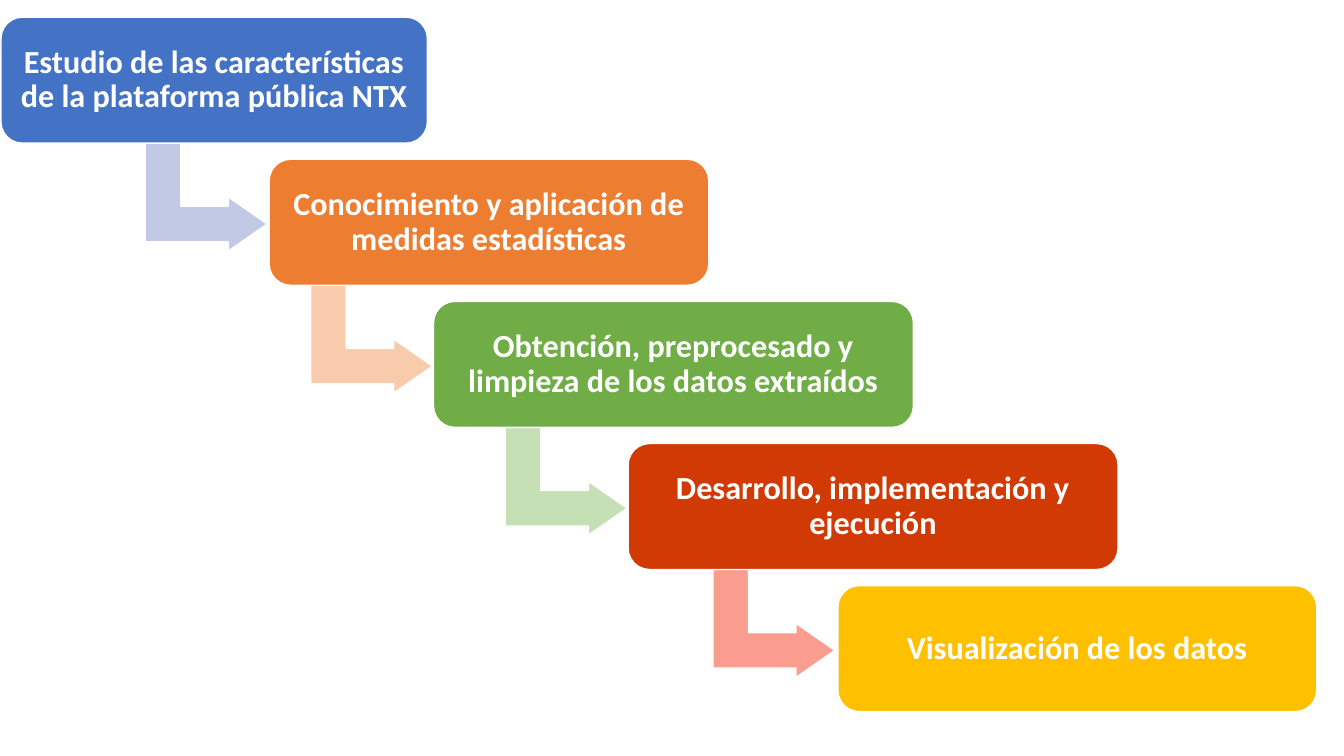
"""Build a slide with a descending staircase of five project phases."""
from pptx import Presentation
from pptx.dml.color import RGBColor
from pptx.enum.shapes import MSO_SHAPE
from pptx.enum.text import MSO_ANCHOR, PP_ALIGN
from pptx.util import Inches, Pt

ROUNDED_BOX = MSO_SHAPE.ROUNDED_RECTANGLE
BENT_ARROW = MSO_SHAPE.BENT_UP_ARROW
MIDDLE = MSO_ANCHOR.MIDDLE
CENTER = PP_ALIGN.CENTER

THEME = {
    "font": "Calibri",
    "size": 23,
    "white": "FFFFFF",
    "boxes": ["4472C4", "ED7D31", "70AD47", "D13A05", "FFC000"],
    "arrows": ["C1C9E4", "F8CBAD", "C5E0B4", "FA9D8E"],
}
PHASES = [
    ("Estudio de las características de la plataforma pública NTX", 0.01, 4.23),
    ("Conocimiento y aplicación de medidas estadísticas", 2.67, 4.36),
    ("Obtención, preprocesado y limpieza de los datos extraídos", 4.3, 4.76),
    ("Desarrollo, implementación y ejecución", 6.23, 4.86),
    ("Visualización de los datos", 8.31, 4.75),
]
ARROW_LEFTS = [1.51, 3.15, 5.08, 7.14]
FIRST_BOX_TOP = 0.17
FIRST_ARROW_TOP = 1.35
STEP = 1.41
BOX_HEIGHT = 1.25
ARROW_WIDTH, ARROW_HEIGHT = 1.07, 1.21


def add_filled_shape(kind, left, top, width, height, color, adjustments):
    shape = slide.shapes.add_shape(
        kind, Inches(left), Inches(top), Inches(width), Inches(height)
    )
    for index, value in enumerate(adjustments):
        shape.adjustments[index] = value
    shape.shadow.inherit = False
    shape.fill.solid()
    shape.fill.fore_color.rgb = RGBColor.from_string(color)
    shape.line.color.rgb = RGBColor.from_string(THEME["white"])
    shape.line.width = Pt(1)
    return shape


presentation = Presentation()
presentation.slide_width = Inches(13.33)
presentation.slide_height = Inches(7.5)
slide = presentation.slides.add_slide(presentation.slide_layouts[6])

for step, (label, left, width) in enumerate(PHASES):
    if step < len(ARROW_LEFTS):
        arrow = add_filled_shape(
            BENT_ARROW, ARROW_LEFTS[step], FIRST_ARROW_TOP + step * STEP,
            ARROW_WIDTH, ARROW_HEIGHT, THEME["arrows"][step], [0.33, 0.25, 0.36],
        )
        arrow.rotation = 90

    box = add_filled_shape(
        ROUNDED_BOX, left, FIRST_BOX_TOP + step * STEP,
        width, BOX_HEIGHT, THEME["boxes"][step], [0.17],
    )
    text_frame = box.text_frame
    text_frame.text = label
    text_frame.word_wrap = True
    text_frame.vertical_anchor = MIDDLE
    text_frame.margin_left = text_frame.margin_right = Inches(0.1)
    text_frame.margin_top = text_frame.margin_bottom = Inches(0.1)
    paragraph = text_frame.paragraphs[0]
    paragraph.alignment = CENTER
    paragraph.line_spacing = 0.9
    font = paragraph.runs[0].font
    font.name = THEME["font"]
    font.size = Pt(THEME["size"])
    font.bold = True
    font.color.rgb = RGBColor.from_string(THEME["white"])

presentation.save("out.pptx")
